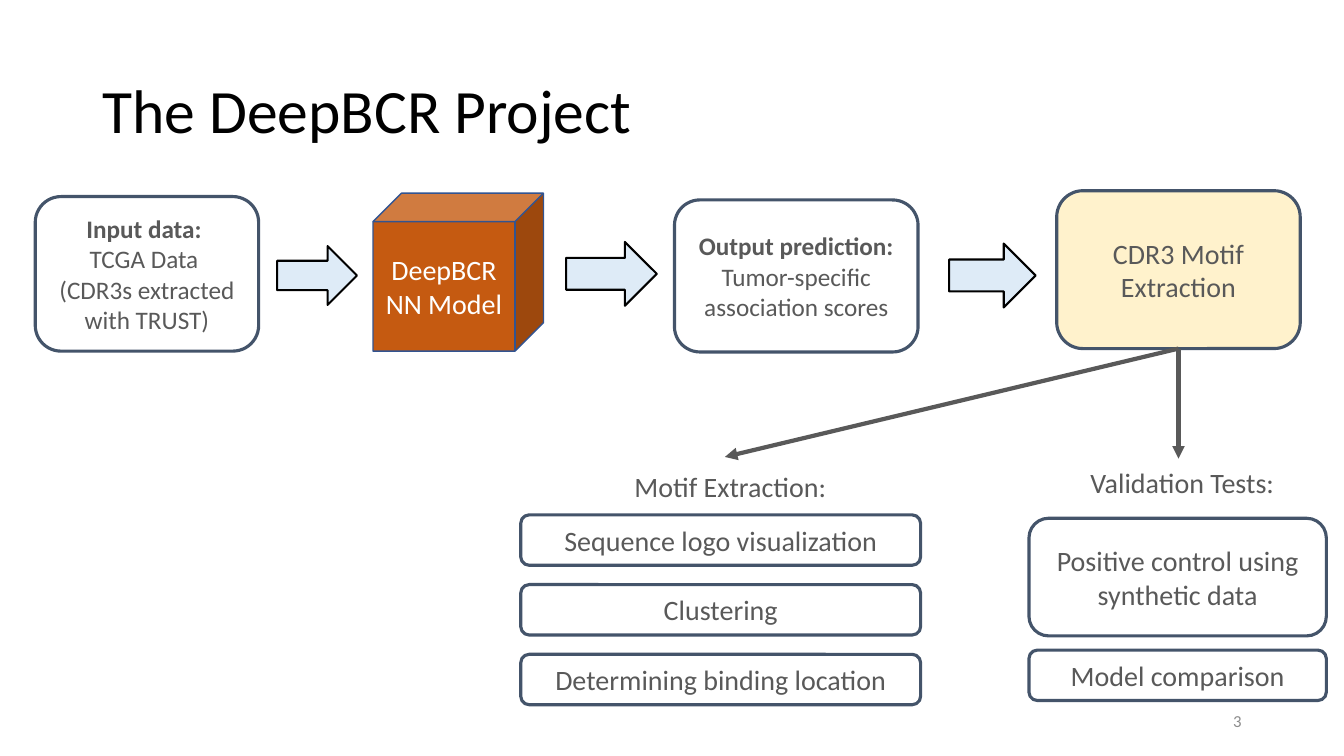
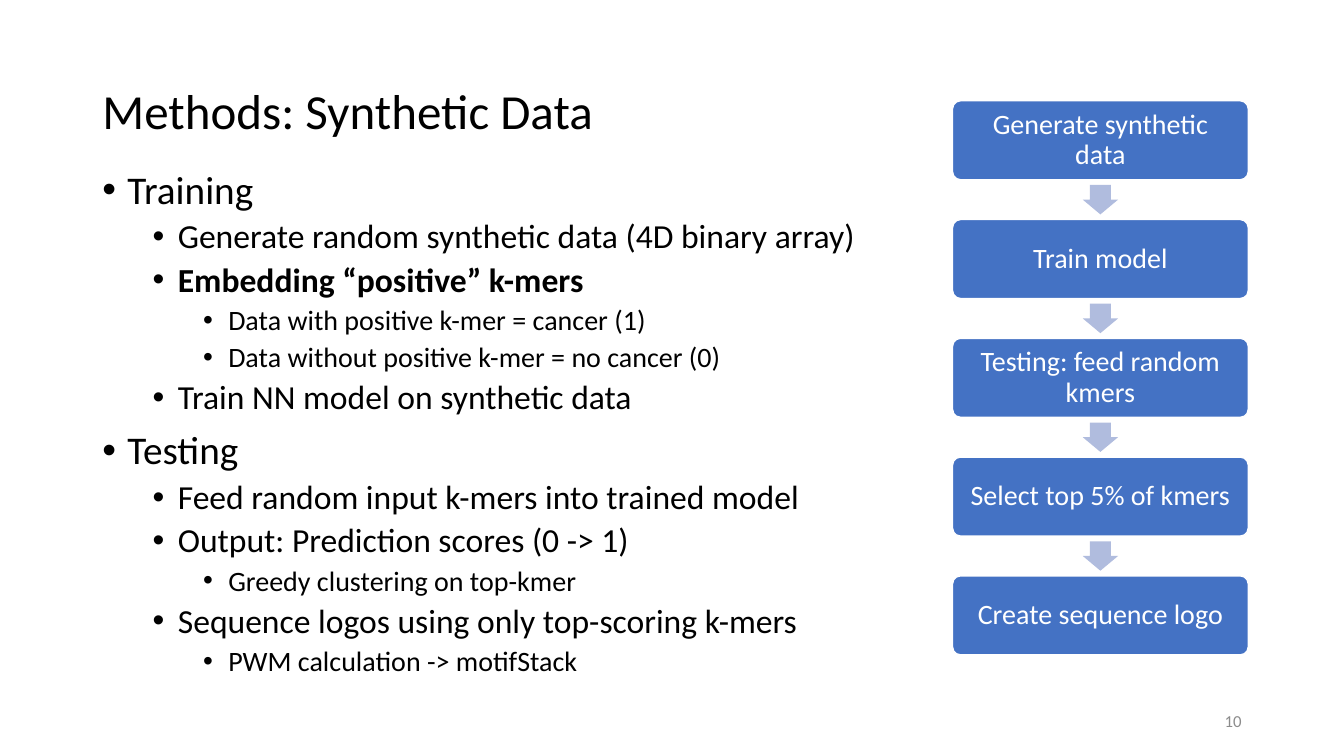
"""Build the DeepBCR project overview and synthetic data methods slides."""
from dataclasses import dataclass
from typing import NamedTuple, Optional

from lxml.etree import SubElement
from pptx import Presentation
from pptx.dml.color import RGBColor
from pptx.enum.shapes import MSO_CONNECTOR, MSO_SHAPE
from pptx.enum.text import MSO_ANCHOR, MSO_AUTO_SIZE, PP_ALIGN
from pptx.oxml.ns import qn
from pptx.presentation import Presentation as Deck
from pptx.shapes.autoshape import Shape
from pptx.slide import Slide
from pptx.text.text import TextFrame, _Paragraph
from pptx.util import Inches, Pt

ROUNDED = MSO_SHAPE.ROUNDED_RECTANGLE
CUBE = MSO_SHAPE.CUBE
RIGHT_ARROW = MSO_SHAPE.RIGHT_ARROW
DOWN_ARROW = MSO_SHAPE.DOWN_ARROW
STRAIGHT = MSO_CONNECTOR.STRAIGHT
LEFT, CENTER, RIGHT = PP_ALIGN.LEFT, PP_ALIGN.CENTER, PP_ALIGN.RIGHT
TOP, MIDDLE = MSO_ANCHOR.TOP, MSO_ANCHOR.MIDDLE
NO_AUTOFIT = MSO_AUTO_SIZE.NONE

BLACK = RGBColor(0x00, 0x00, 0x00)
WHITE = RGBColor(0xFF, 0xFF, 0xFF)
GRAY = RGBColor(0x59, 0x59, 0x59)
NUMBER_GRAY = RGBColor(0x8C, 0x8C, 0x8C)
SLATE = RGBColor(0x44, 0x54, 0x6A)
CREAM = RGBColor(0xFF, 0xF2, 0xCC)
ORANGE = RGBColor(0xC5, 0x5A, 0x11)
CUBE_EDGE = RGBColor(0x32, 0x54, 0x91)
PALE_BLUE = RGBColor(0xDE, 0xEB, 0xF7)
BLUE = RGBColor(0x44, 0x72, 0xC4)
LILAC = RGBColor(0xB0, 0xBC, 0xDE)

FONT = "Calibri"
SLIDE_WIDTH, SLIDE_HEIGHT = Inches(13.3333), Inches(7.5)
COLUMN, ROW = SLIDE_WIDTH / 80, SLIDE_HEIGHT / 45
TITLE_ONLY = 5
BOTTOM_SIDE = 2


class Area(NamedTuple):
    left: float
    top: float
    width: float
    height: float

    def lengths(self) -> tuple[int, int, int, int]:
        return (round(self.left * COLUMN), round(self.top * ROW),
                round(self.width * COLUMN), round(self.height * ROW))


class Point(NamedTuple):
    column: float
    row: float


class Bullet(NamedTuple):
    level: int
    text: str
    bold: bool = False


@dataclass(frozen=True)
class Style:
    fill: Optional[RGBColor] = None
    line: Optional[RGBColor] = None
    line_width: float = 1
    text: RGBColor = GRAY
    size: float = 20
    line_spacing: float = 1
    adjustments: tuple[float, ...] = ()
    geometry: MSO_SHAPE = ROUNDED


@dataclass(frozen=True)
class Block:
    area: Area
    style: Style
    paragraphs: tuple[str, ...] = ()
    bold_first: bool = False


OUTLINED = Style(line=SLATE, line_width=2.25)
OUTLINED_SMALL = Style(line=SLATE, line_width=2.25, size=18)
HIGHLIGHTED = Style(fill=CREAM, line=SLATE, line_width=2.25)
MODEL = Style(fill=ORANGE, line=CUBE_EDGE, text=WHITE, adjustments=(0.18,), geometry=CUBE)
FLOW_ARROW = Style(fill=PALE_BLUE, line=BLACK, line_width=1.5, geometry=RIGHT_ARROW)
STEP = Style(fill=BLUE, line=WHITE, text=WHITE, line_spacing=0.9, adjustments=(0.1,))
STEP_ARROW = Style(fill=LILAC, adjustments=(0.6, 0.5), geometry=DOWN_ARROW)

TITLE_AREA = Area(5.5, 2.4, 69, 8.7)
NUMBER_RIGHT = 74.5

PIPELINE = (
    Block(Area(2.1, 11.7, 13.3, 9.2), OUTLINED_SMALL,
          ("Input data: ", "TCGA Data ", "(CDR3s extracted with TRUST)"), True),
    Block(Area(22.2, 11.5, 10.15, 9.4), MODEL, ("DeepBCR\vNN Model",)),
    Block(Area(40.15, 11.9, 14.5, 9.05), OUTLINED_SMALL,
          ("Output prediction:", "Tumor-specific association scores"), True),
    Block(Area(16.5, 14.65, 4.75, 3.5), FLOW_ARROW),
    Block(Area(33.7, 14.4, 5.4, 3.8), FLOW_ARROW),
    Block(Area(56.5, 14.5, 5.15, 3.8), FLOW_ARROW),
)
EXTRACTION = Block(Area(62.9, 11.35, 14.5, 9.4), HIGHLIGHTED, ("CDR3 Motif Extraction",))
BRANCH_ENDS = (Point(70.15, 27.3), Point(43.15, 27.2))
HEADINGS = (
    (Area(33, 27.65, 20.95, 2.65), "Motif Extraction:"),
    (Area(63.35, 27.4, 14.05, 2.65), "Validation Tests:"),
)
MOTIF_TASKS = ("Sequence logo visualization", "Clustering", "Determining binding location")
MOTIF_FIRST, MOTIF_PITCH = Area(31, 30.65, 23.8, 3), 4.15
VALIDATION = (
    Block(Area(61.25, 30.85, 17.7, 7), OUTLINED, ("Positive control using synthetic data",)),
    Block(Area(61.25, 38.7, 17.7, 3), OUTLINED, ("Model comparison",)),
)

BODY_AREA = Area(5.5, 9.85, 48.25, 31.9)
LEVEL_SIZES = (28, 24, 20)
LEVEL_SPACES = (10, 5, 5)
BULLETS = (
    Bullet(0, "Training"),
    Bullet(1, "Generate random synthetic data (4D binary array)"),
    Bullet(1, "Embedding “positive” k-mers", True),
    Bullet(2, "Data with positive k-mer = cancer (1)"),
    Bullet(2, "Data without positive k-mer = no cancer (0)"),
    Bullet(1, "Train NN model on synthetic data"),
    Bullet(0, "Testing"),
    Bullet(1, "Feed random input k-mers into trained model"),
    Bullet(1, "Output: Prediction scores (0 -> 1)"),
    Bullet(2, "Greedy clustering on top-kmer"),
    Bullet(1, "Sequence logos using only top-scoring k-mers"),
    Bullet(2, "PWM calculation -> motifStack"),
)
STEPS = ("Generate synthetic data", "Train model", "Testing: feed random kmers",
         "Select top 5% of kmers", "Create sequence logo")
STEP_FIRST, STEP_PITCH = Area(56.7, 6, 17.6, 4.7), 7.07
STEP_ARROW_WIDTH, STEP_ARROW_HEIGHT = 2.1, 1.75


def add_run(paragraph: _Paragraph, text: str, size: float, color: RGBColor,
            bold: bool = False) -> None:
    run = paragraph.add_run()
    run.text = text
    run.font.name, run.font.size, run.font.bold = FONT, Pt(size), bold
    run.font.color.rgb = color


def next_paragraph(frame: TextFrame, index: int) -> _Paragraph:
    return frame.add_paragraph() if index else frame.paragraphs[0]


def add_block(slide: Slide, block: Block) -> Shape:
    style = block.style
    shape = slide.shapes.add_shape(style.geometry, *block.area.lengths())
    shape.shadow.inherit = False
    for index, value in enumerate(style.adjustments):
        shape.adjustments[index] = value
    if style.fill is None:
        shape.fill.background()
    else:
        shape.fill.solid()
        shape.fill.fore_color.rgb = style.fill
    if style.line is None:
        shape.line.fill.background()
    else:
        shape.line.color.rgb = style.line
        shape.line.width = Pt(style.line_width)
    frame = shape.text_frame
    frame.word_wrap, frame.vertical_anchor = True, MIDDLE
    for index, text in enumerate(block.paragraphs):
        paragraph = next_paragraph(frame, index)
        paragraph.alignment, paragraph.line_spacing = CENTER, style.line_spacing
        for line_index, line in enumerate(text.split("\v")):
            if line_index:
                paragraph.add_line_break()
            add_run(paragraph, line, style.size, style.text, block.bold_first and index == 0)
    return shape


def add_text_box(slide: Slide, area: Area, anchor: MSO_ANCHOR = TOP) -> TextFrame:
    frame = slide.shapes.add_textbox(*area.lengths()).text_frame
    frame.word_wrap, frame.vertical_anchor = True, anchor
    return frame


def add_label(slide: Slide, area: Area, text: str, size: float, color: RGBColor,
              alignment: PP_ALIGN, anchor: MSO_ANCHOR = TOP) -> None:
    paragraph = add_text_box(slide, area, anchor).paragraphs[0]
    paragraph.alignment = alignment
    add_run(paragraph, text, size, color)


def add_branch(slide: Slide, source: Shape, end: Point) -> None:
    connector = slide.shapes.add_connector(
        STRAIGHT, 0, 0, round(end.column * COLUMN), round(end.row * ROW))
    connector.begin_connect(source, BOTTOM_SIDE)
    connector.line.color.rgb = GRAY
    connector.line.width = Pt(3)
    properties = connector.element.spPr
    SubElement(properties.find(qn("a:ln")), qn("a:tailEnd"), type="triangle")
    SubElement(properties, qn("a:effectLst"))


def add_titled_slide(presentation: Deck, title: str, size: float, number: str,
                     number_width: float) -> Slide:
    slide = presentation.slides.add_slide(presentation.slide_layouts[TITLE_ONLY])
    placeholder = slide.shapes.title
    (placeholder.left, placeholder.top,
     placeholder.width, placeholder.height) = TITLE_AREA.lengths()
    frame = placeholder.text_frame
    frame.auto_size, frame.word_wrap, frame.vertical_anchor = NO_AUTOFIT, True, MIDDLE
    paragraph = frame.paragraphs[0]
    paragraph.alignment, paragraph.line_spacing = LEFT, 0.9
    add_run(paragraph, title, size, BLACK)
    number_area = Area(NUMBER_RIGHT - number_width, 41.7, number_width, 2.4)
    add_label(slide, number_area, number, 12, NUMBER_GRAY, RIGHT, MIDDLE)
    return slide


def add_bullets(slide: Slide) -> None:
    frame = add_text_box(slide, BODY_AREA)
    for index, bullet in enumerate(BULLETS):
        paragraph = next_paragraph(frame, index)
        paragraph.level = bullet.level
        properties = paragraph._p.get_or_add_pPr()
        properties.set("marL", str(Inches(0.25 + 0.5 * bullet.level)))
        properties.set("indent", str(-Inches(0.25)))
        SubElement(properties, qn("a:buFont"), typeface="Arial")
        SubElement(properties, qn("a:buChar"), char="•")
        paragraph.line_spacing = 0.9
        paragraph.space_before = Pt(LEVEL_SPACES[bullet.level] if index else 0)
        add_run(paragraph, bullet.text, LEVEL_SIZES[bullet.level], BLACK, bullet.bold)


def add_steps(slide: Slide) -> None:
    gap = STEP_PITCH - STEP_FIRST.height
    arrow_left = STEP_FIRST.left + (STEP_FIRST.width - STEP_ARROW_WIDTH) / 2
    for index, text in enumerate(STEPS):
        top = STEP_FIRST.top + index * STEP_PITCH
        add_block(slide, Block(STEP_FIRST._replace(top=top), STEP, (text,)))
        if index < len(STEPS) - 1:
            arrow_top = top + STEP_FIRST.height + (gap - STEP_ARROW_HEIGHT) / 2
            area = Area(arrow_left, arrow_top, STEP_ARROW_WIDTH, STEP_ARROW_HEIGHT)
            add_block(slide, Block(area, STEP_ARROW))


def build_project(presentation: Deck) -> None:
    slide = add_titled_slide(presentation, "The DeepBCR Project", 44, "3", 8)
    tasks = tuple(
        Block(MOTIF_FIRST._replace(top=MOTIF_FIRST.top + index * MOTIF_PITCH), OUTLINED, (text,))
        for index, text in enumerate(MOTIF_TASKS))
    for block in PIPELINE + tasks + VALIDATION:
        add_block(slide, block)
    extraction = add_block(slide, EXTRACTION)
    for end in BRANCH_ENDS:
        add_branch(slide, extraction, end)
    for area, text in HEADINGS:
        add_label(slide, area, text, 20, GRAY, CENTER)


def build_methods(presentation: Deck) -> None:
    slide = add_titled_slide(presentation, "Methods: Synthetic Data", 35, "10", 18)
    add_bullets(slide)
    add_steps(slide)


def main() -> None:
    presentation = Presentation()
    presentation.slide_width, presentation.slide_height = SLIDE_WIDTH, SLIDE_HEIGHT
    build_project(presentation)
    build_methods(presentation)
    presentation.save("out.pptx")


if __name__ == "__main__":
    main()
